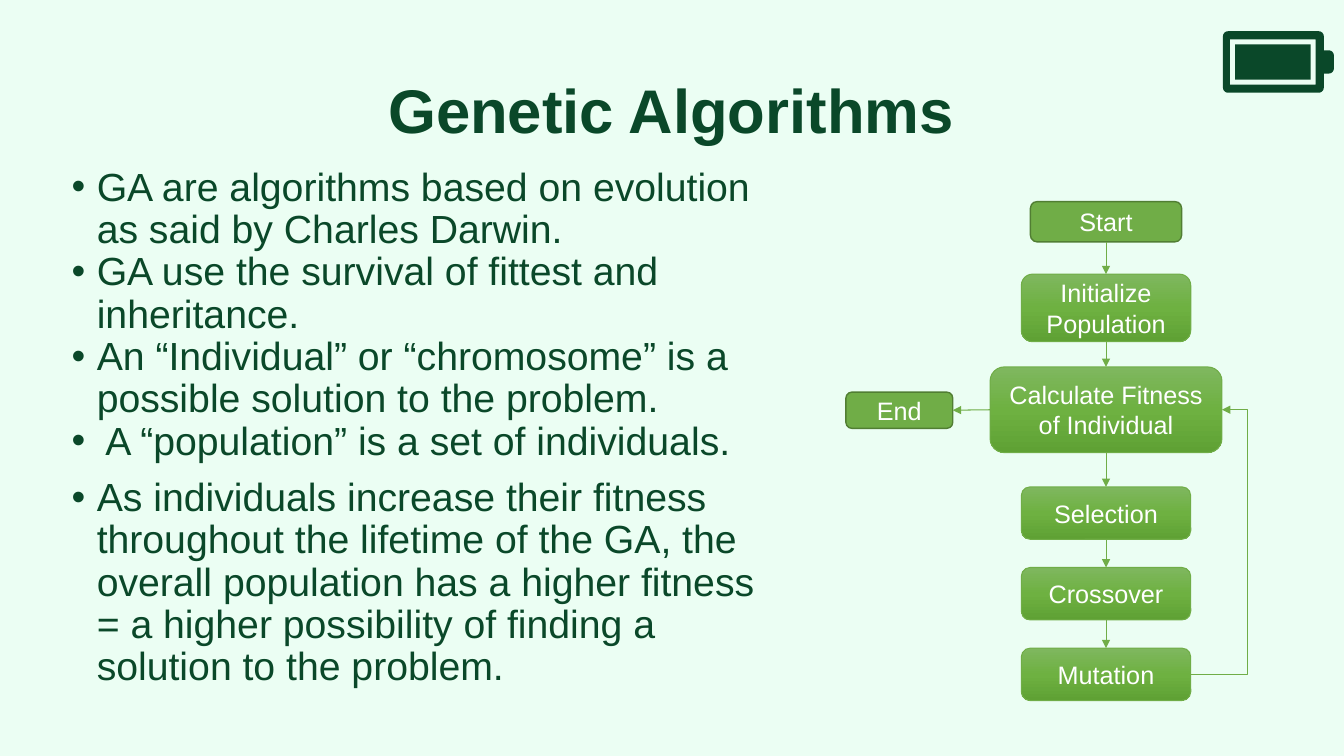
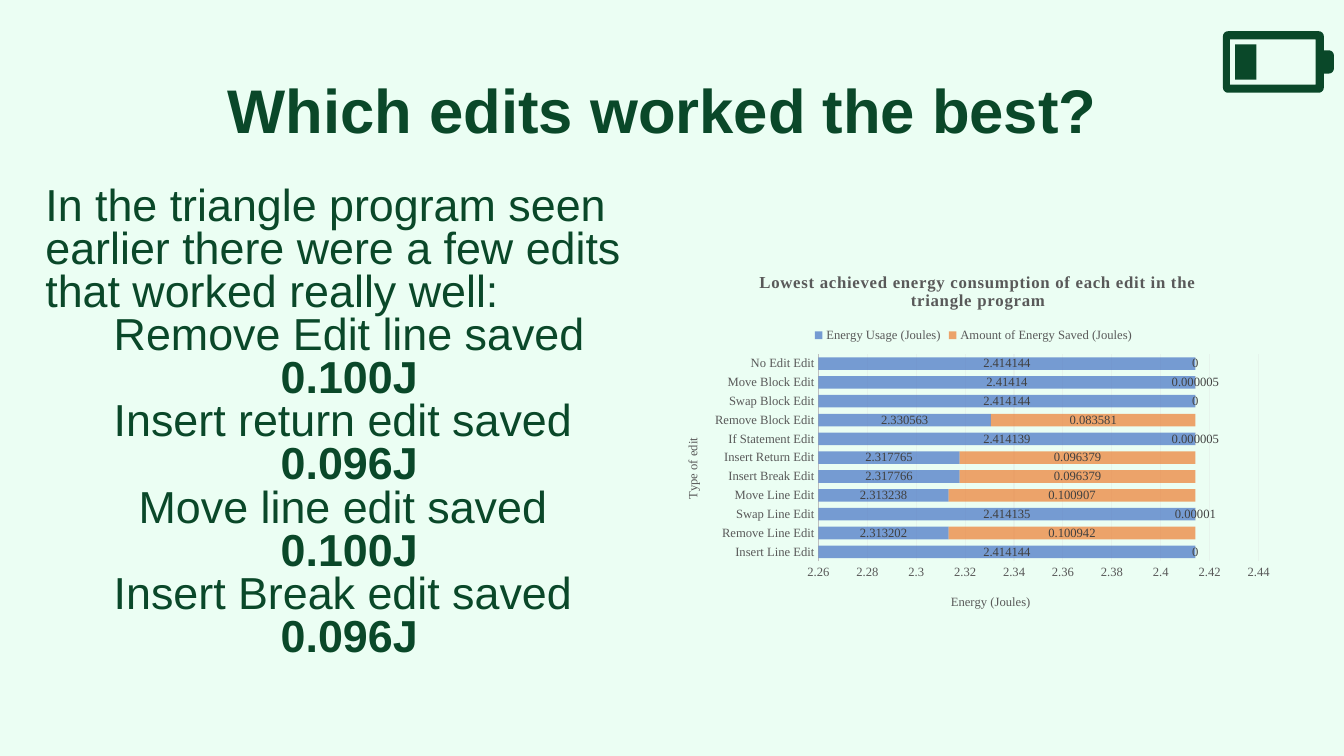
from copy import deepcopy
from math import cos, radians, sin

from lxml import etree
from pptx import Presentation
from pptx.chart.data import CategoryChartData
from pptx.dml.color import RGBColor
from pptx.enum.chart import XL_CHART_TYPE, XL_LABEL_POSITION, XL_LEGEND_POSITION, XL_TICK_MARK
from pptx.enum.shapes import MSO_CONNECTOR, MSO_SHAPE
from pptx.enum.text import MSO_ANCHOR, MSO_AUTO_SIZE, PP_ALIGN
from pptx.oxml.ns import qn
from pptx.util import Inches, Pt

BAR_STACKED = XL_CHART_TYPE.BAR_STACKED
LABEL_CENTER = XL_LABEL_POSITION.CENTER
LEGEND_TOP = XL_LEGEND_POSITION.TOP
NO_TICK = XL_TICK_MARK.NONE
STRAIGHT, ELBOW = MSO_CONNECTOR.STRAIGHT, MSO_CONNECTOR.ELBOW
ROUNDED = MSO_SHAPE.ROUNDED_RECTANGLE
MIDDLE = MSO_ANCHOR.MIDDLE
NO_FIT = MSO_AUTO_SIZE.NONE
LEFT, CENTER = PP_ALIGN.LEFT, PP_ALIGN.CENTER
TOP_SITE, LEFT_SITE, BOTTOM_SITE, RIGHT_SITE = range(4)

COLORS = {
    "background": "EBFEF3", "ink": "0A4829", "white": "FFFFFF",
    "node": "70AD47", "node_edge": "517E33",
    "grad_top": "7FB75F", "grad_mid": "6EB141", "grad_end": "5FA134",
    "usage": "4472C4", "saved": "ED7D31",
    "chart_text": "595959", "label": "404040", "axis": "BFBFBF", "grid": "E6F4EC",
}
FONT, CHART_FONT = "Arial", "Times New Roman"

EDITS = [  # edit, energy usage, energy saved
    ("Insert Line Edit", 2.414144, 0),
    ("Remove Line Edit", 2.313202, 0.100942),
    ("Swap Line Edit", 2.414135, 0.00001),
    ("Move Line Edit", 2.313238, 0.100907),
    ("Insert Break Edit", 2.317766, 0.096379),
    ("Insert Return Edit", 2.317765, 0.096379),
    ("If Statement Edit", 2.414139, 0.000005),
    ("Remove Block Edit", 2.330563, 0.083581),
    ("Swap Block Edit", 2.414144, 0),
    ("Move Block Edit", 2.41414, 0.000005),
    ("No Edit Edit", 2.414144, 0),
]


def rgb(name):
    return RGBColor.from_string(COLORS[name])


def style_font(font, size, color, name=FONT, bold=False):
    font.size, font.name, font.bold = Pt(size), name, bold
    font.color.rgb = rgb(color)


def place(sp, x, y, w, h):
    sp.left, sp.top, sp.width, sp.height = (Inches(v) for v in (x, y, w, h))


def add_runs(p, runs, size, color="ink"):
    for text, bold in runs:
        r = p.add_run()
        r.text = text
        style_font(r.font, size, color, bold=bold)


# Shared slide parts
def set_theme(prs):
    fill = prs.slide_master.background.fill
    fill.solid()
    fill.fore_color.rgb = rgb("background")
    place(prs.slide_layouts[1].placeholders[0], 0.91, 0.4, 11.5, 1.45)


def add_slide(prs, title, charge):
    s = prs.slides.add_slide(prs.slide_layouts[1])
    tf = s.shapes.title.text_frame
    tf.auto_size, tf.vertical_anchor = NO_FIT, MIDDLE
    p = tf.paragraphs[0]
    p.alignment, p.line_spacing = CENTER, 0.9
    add_runs(p, [(title, True)], 44)
    add_battery(s, 12.13, 0.31, charge)
    return s


def add_battery(s, x, y, charge):
    def box(left, top, right, bottom):
        return [(left, top), (right, top), (right, bottom), (left, bottom)]

    def corner(cx, cy, start, radius=0.05):
        angles = [radians(start - step) for step in range(0, 91, 15)]
        return [(cx + radius * cos(a), cy + radius * sin(a)) for a in angles]

    def outline(*contours):
        scaled = [[(Inches(x + a), Inches(y + b)) for a, b in c] for c in contours]
        fb = s.shapes.build_freeform(*scaled[0][0])
        fb.add_line_segments(scaled[0][1:])
        for contour in scaled[1:]:
            fb.move_to(*contour[0])
            fb.add_line_segments(contour[1:])
        sp = fb.convert_to_shape()
        sp.shadow.inherit = False
        sp.fill.solid()
        sp.fill.fore_color.rgb = rgb("ink")
        sp.line.fill.background()

    case = [(1, 0.19)]
    for cx, cy, start in ((0.95, 0.05, 0), (0.05, 0.05, -90), (0.05, 0.56, 180), (0.95, 0.56, 90)):
        case += corner(cx, cy, start)
    case += [(1, 0.42)] + corner(1.05, 0.37, 90) + corner(1.05, 0.24, 0)
    hole = box(0.07, 0.08, 0.92, 0.53)[::-1]
    outline(case + case[:1], hole + hole[:1])
    level = box(0.12, 0.13, 0.12 + charge, 0.48)
    outline(level + level[:1])


def add_body(s, box, paragraphs, size, spacing):
    """Each paragraph: runs, alignment, space before, bulleted."""
    sp = s.placeholders[1]
    place(sp, *box)
    tf = sp.text_frame
    tf.auto_size = NO_FIT
    for i, (runs, align, before, bulleted) in enumerate(paragraphs):
        p = tf.paragraphs[0] if i == 0 else tf.add_paragraph()
        p.alignment, p.line_spacing, p.space_before = align, spacing, Pt(before)
        pPr = p._p.get_or_add_pPr()
        indent = Inches(0.25) if bulleted else 0
        pPr.set("marL", str(indent))
        pPr.set("indent", str(-indent))
        if bulleted:
            color = etree.SubElement(pPr, qn("a:buClr"))
            etree.SubElement(color, qn("a:srgbClr"), val=COLORS["ink"])
            etree.SubElement(pPr, qn("a:buFont"), typeface=FONT)
            etree.SubElement(pPr, qn("a:buChar"), char="•")
        else:
            etree.SubElement(pPr, qn("a:buNone"))
        add_runs(p, runs, size)


# Flowchart
def add_node(s, text, x, y, w, h, terminal=False):
    sp = s.shapes.add_shape(ROUNDED, *(Inches(v) for v in (x, y, w, h)))
    sp.shadow.inherit = False
    if terminal:
        sp.fill.solid()
        sp.fill.fore_color.rgb = rgb("node")
    else:
        sp.fill.gradient()
        sp.fill.gradient_angle = 270
        stops = sp._element.spPr.find(".//" + qn("a:gsLst"))
        stops.insert(1, deepcopy(stops[0]))
        for i, name in enumerate(("grad_top", "grad_mid", "grad_end")):
            stop = sp.fill.gradient_stops[i]
            stop.position = i / 2
            stop.color.rgb = rgb(name)
    sp.line.color.rgb = rgb("node_edge" if terminal else "node")
    sp.line.width = Pt(1 if terminal else 0.75)
    tf = sp.text_frame
    tf.word_wrap, tf.vertical_anchor = True, MIDDLE
    tf.paragraphs[0].alignment = CENTER
    add_runs(tf.paragraphs[0], [(text, False)], 18, "white")
    return sp


def add_arrow(s, start, start_site, end, end_site, kind=STRAIGHT):
    line = s.shapes.add_connector(kind, 0, 0, 0, 0)
    line.begin_connect(start, start_site)
    line.end_connect(end, end_site)
    line.line.color.rgb = rgb("node")
    line.line.width = Pt(0.75)
    etree.SubElement(line.line._get_or_add_ln(), qn("a:tailEnd"), type="triangle")
    etree.SubElement(line._element.spPr, qn("a:effectLst"))
    return line


def add_flowchart(s, x, y):
    steps = [  # text, top, width, height
        ("Start", 0, 1.5, 0.4),
        ("Initialize Population", 0.72, 1.68, 0.67),
        ("Calculate Fitness of Individual", 1.64, 2.3, 0.85),
        ("Selection", 2.83, 1.68, 0.52),
        ("Crossover", 3.63, 1.68, 0.52),
        ("Mutation", 4.43, 1.68, 0.52),
    ]
    axis = x + 2.58
    nodes = [add_node(s, text, axis - w / 2, y + top, w, h, text == "Start")
             for text, top, w, h in steps]
    end = add_node(s, "End", x, y + 1.89, 1.06, 0.36, True)
    for upper, lower in zip(nodes, nodes[1:]):
        add_arrow(s, upper, BOTTOM_SITE, lower, TOP_SITE)
    fitness, mutation = nodes[2], nodes[-1]
    add_arrow(s, fitness, LEFT_SITE, end, RIGHT_SITE)
    # Loop back, with its bend 0.25 inch right of the fitness box
    loop = add_arrow(s, mutation, RIGHT_SITE, fitness, RIGHT_SITE, ELBOW)
    bend = (loop.width + Inches(0.25)) / loop.width
    guides = loop._element.spPr.find(".//" + qn("a:avLst"))
    etree.SubElement(guides, qn("a:gd"), name="adj1", fmla=f"val {round(bend * 100000)}")


# Chart
def set_layout(el, index, **fractions):
    for old in el.findall(qn("c:layout")):
        el.remove(old)
    layout = etree.Element(qn("c:layout"))
    manual = etree.SubElement(layout, qn("c:manualLayout"))
    if "w" in fractions:
        etree.SubElement(manual, qn("c:layoutTarget"), val="inner")
    for side in "xy":
        etree.SubElement(manual, qn(f"c:{side}Mode"), val="edge")
    for key, value in fractions.items():
        etree.SubElement(manual, qn(f"c:{key}"), val=str(value))
    el.insert(index, layout)


def set_chart_title(owner, text, size, bold, x, y):
    title = owner.axis_title if hasattr(owner, "axis_title") else owner.chart_title
    r = title.text_frame.paragraphs[0].add_run()
    r.text = text
    style_font(r.font, size, "chart_text", CHART_FONT, bold)
    set_layout(title._element, 1, x=x, y=y)
    return title, r


def add_energy_chart(s, x, y, w, h):
    data = CategoryChartData()
    names, usage, saved = zip(*EDITS)
    data.categories = names
    data.add_series("Energy Usage (Joules)", usage)
    data.add_series("Amount of Energy Saved (Joules)", saved)
    frame = s.shapes.add_chart(BAR_STACKED, *(Inches(v) for v in (x, y, w, h)), data)
    chart = frame.chart
    style_font(chart.font, 9, "chart_text", CHART_FONT)
    _, r = set_chart_title(
        chart, "Lowest achieved energy consumption of each edit in the triangle program",
        12, True, 0.15, 0.03)
    r._r.get_or_add_rPr().set("spc", "50")

    chart.has_legend = True
    chart.legend.position = LEGEND_TOP
    chart.legend.include_in_layout = False
    style_font(chart.legend.font, 9, "chart_text", CHART_FONT)

    plot = chart.plots[0]
    plot.gap_width, plot.overlap, plot.vary_by_categories = 50, 100, False
    for ser, color in zip(plot.series, ("usage", "saved")):
        ser.format.fill.solid()
        ser.format.fill.fore_color.rgb = rgb(color)
        clr = ser._element.find(".//" + qn("a:srgbClr"))
        etree.SubElement(clr, qn("a:alpha"), val="70000")
        labels = ser.data_labels
        labels.show_value, labels.position = True, LABEL_CENTER
        style_font(labels.font, 9, "label", CHART_FONT)

    cat, val = chart.category_axis, chart.value_axis
    for axis in (cat, val):
        axis.major_tick_mark = axis.minor_tick_mark = NO_TICK
        style_font(axis.tick_labels.font, 9, "chart_text", CHART_FONT)
    cat.format.line.color.rgb = rgb("axis")
    cat.format.line.width = Pt(0.75)
    title, _ = set_chart_title(cat, "Type of edit", 9, False, 0.03, 0.48)
    body = title._element.find(".//" + qn("a:bodyPr"))
    body.set("rot", "-5400000")
    body.set("vert", "horz")
    set_chart_title(val, "Energy (Joules)", 9, False, 0.46, 0.9)
    val.minimum_scale, val.maximum_scale, val.major_unit = 2.26, 2.44, 0.02
    val.format.line.fill.background()
    val.major_gridlines.format.line.color.rgb = rgb("grid")
    val.major_gridlines.format.line.width = Pt(0.75)
    set_layout(chart._chartSpace.chart.plotArea, 0, x=0.25, y=0.26, w=0.71, h=0.56)


# Slides
def genetic_slide(prs):
    s = add_slide(prs, "Genetic Algorithms", 0.75)
    points = [
        "GA are algorithms based on evolution as said by Charles Darwin.",
        "GA use the survival of fittest and inheritance.",
        "An “Individual” or “chromosome” is a possible solution to the problem.",
        " A “population” is a set of individuals.",
        "As individuals increase their fitness throughout the lifetime of the GA, the overall "
        "population has a higher fitness = a higher possibility of finding a solution to the problem.",
    ]
    last = points[-1]
    add_body(s, (0.61, 1.61, 7.24, 5.49),
             [([(t, False)], LEFT, 10 if t is last else 0, True) for t in points], 28, 0.9)
    add_flowchart(s, 8.39, 2)


def edits_slide(prs):
    s = add_slide(prs, "Which edits worked the best? ", 0.21)
    intro = "In the triangle program seen earlier there were a few edits that worked really well:"
    lines = [[("Remove Edit line saved ", False), ("0.100J", True)]]
    for edit, joules in (("Insert return", "0.096J"), ("Move line", "0.100J"),
                         ("Insert Break", "0.096J")):
        lines += [[(f"{edit} edit saved ", False)], [(joules, True)]]
    add_body(s, (0.35, 1.81, 6.23, 5.18),
             [([(intro, False)], LEFT, 0, False)]
             + [(runs, CENTER, 0, False) for runs in lines], 32, 0.8)
    add_energy_chart(s, 6.58, 2.56, 6.15, 3.67)


def main():
    prs = Presentation()
    prs.slide_width, prs.slide_height = Inches(13.33), Inches(7.5)
    set_theme(prs)
    genetic_slide(prs)
    edits_slide(prs)
    prs.save("out.pptx")


if __name__ == "__main__":
    main()
